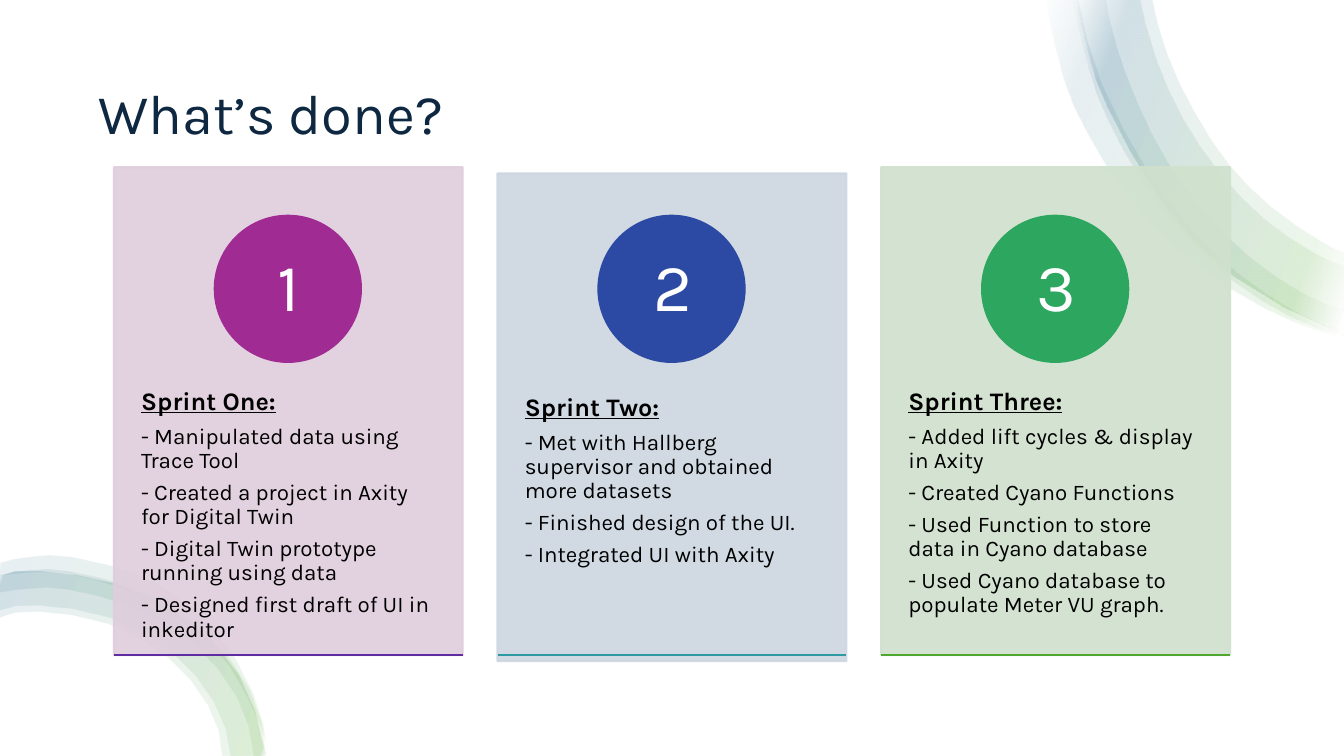
"""Build the sprint progress slide with three numbered cards."""
from lxml import etree
from pptx import Presentation
from pptx.dml.color import RGBColor
from pptx.enum.shapes import MSO_CONNECTOR, MSO_SHAPE
from pptx.enum.text import MSO_ANCHOR, PP_ALIGN
from pptx.oxml import parse_xml
from pptx.oxml.ns import nsdecls, qn
from pptx.util import Inches, Pt

RECTANGLE, OVAL = MSO_SHAPE.RECTANGLE, MSO_SHAPE.OVAL
STRAIGHT = MSO_CONNECTOR.STRAIGHT
TOP, MIDDLE = MSO_ANCHOR.TOP, MSO_ANCHOR.MIDDLE
LEFT, CENTER = PP_ALIGN.LEFT, PP_ALIGN.CENTER

THEME = {
    "font": "Karla",
    "background": "FFFFFF",
    "title": {"size": 40, "color": "0E2841"},
    "heading": {"size": 18, "color": "000000", "bold": True, "underline": True},
    "item": {"size": 16, "color": "000000"},
    "number": {"size": 48, "color": "FFFFFF"},
    "line": 1.5,
    "card_opacity": 90,
    "ribbon_opacity": 10,
    "ribbon_angle": 160,
    "ribbon_colors": ["FFFFFF", "4EA72E", "156082", "FFFFFF"],
}

RIGHT_STOPS, LEFT_STOPS = (2, 16, 85, 100), (0, 2, 98, 100)
RIGHT_EDGE = [(13.33, 3.32), (12.23, 2.74), (11.52, 2), (10.99, 1.07),
              (10.81, 0.57), (10.67, -0.09)]
LEFT_EDGE = [(2.63, 7.5), (2.36, 6.69), (1.85, 6.16), (1.17, 5.8), (0.4, 5.67), (0, 5.72)]
RIBBONS = [
    (RIGHT_STOPS,
     [(13.33, 3.35), (12.82, 3.19), (12.21, 2.87), (11.65, 2.45), (11.16, 1.92),
      (10.78, 1.31), (10.55, 0.78), (10.36, -0.09)],
     [(10.68, -0.09), (10.93, 0.84), (11.4, 1.73), (11.81, 2.27), (12.3, 2.73),
      (12.86, 3.1), (13.33, 3.28)]),
    (RIGHT_STOPS, RIGHT_EDGE,
     [(11.41, -0.09), (11.58, 0.55), (11.85, 1.12), (12.19, 1.64), (12.61, 2.06),
      (13.07, 2.38), (13.33, 2.51)]),
    (RIGHT_STOPS,
     [(13.33, 3.33), (12.79, 3.14), (12.23, 2.79), (11.73, 2.33), (11.32, 1.79),
      (10.99, 1.19), (10.81, 0.71), (10.63, -0.09)],
     [(10.96, -0.09), (11.07, 0.44), (11.29, 1.04), (11.58, 1.61), (11.95, 2.11),
      (12.39, 2.55), (12.9, 2.9), (13.33, 3.08)]),
    (RIGHT_STOPS, RIGHT_EDGE,
     [(11.29, -0.09), (11.47, 0.59), (11.74, 1.19), (12.1, 1.72), (12.53, 2.17),
      (13.01, 2.5), (13.33, 2.64)]),
    (LEFT_STOPS, LEFT_EDGE,
     [(0, 6.13), (0.4, 6.07), (1.07, 6.19), (1.66, 6.52), (2.06, 7), (2.2, 7.5)]),
    (LEFT_STOPS, LEFT_EDGE,
     [(0, 6.06), (0.4, 6.01), (1.09, 6.13), (1.7, 6.47), (2.12, 6.97), (2.28, 7.5)]),
    (LEFT_STOPS,
     [(2.63, 7.5), (2.47, 6.85), (2.03, 6.27), (1.42, 5.87), (0.69, 5.67),
      (0.31, 5.66), (0, 5.71)],
     [(0, 5.88), (0.33, 5.84), (0.67, 5.85), (1.34, 6.03), (1.92, 6.39),
      (2.34, 6.91), (2.51, 7.5)]),
    (LEFT_STOPS,
     [(2.64, 7.5), (2.5, 6.87), (2.1, 6.23), (1.48, 5.75), (0.71, 5.53),
      (0.31, 5.53), (0, 5.59)],
     [(0, 5.72), (0.32, 5.68), (0.69, 5.7), (1.22, 5.84), (1.71, 6.09),
      (2.25, 6.58), (2.58, 7.22), (2.62, 7.5)]),
]

CARDS = [
    {"heading": "Sprint One:", "top": 1.66,
     "card": "DFCDDC", "circle": "A02B93", "rule": "5F2CA1",
     "items": ["- Manipulated data using Trace Tool",
               "- Created a project in Axity for Digital Twin",
               "- Digital Twin prototype running using data",
               "- Designed first draft of UI in inkeditor"]},
    {"heading": "Sprint Two:", "top": 1.72,
     "card": "CDD6E0", "circle": "2C49A3", "rule": "2D9AA4",
     "items": ["- Met with Hallberg supervisor and obtained more datasets",
               "- Finished design of the UI.",
               "- Integrated UI with Axity"]},
    {"heading": "Sprint Three:", "top": 1.66,
     "card": "D0E1CD", "circle": "2DA65F", "rule": "4EA72E",
     "items": ["- Added lift cycles & display in Axity",
               "- Created Cyano Functions",
               "- Used Function to store data in Cyano database",
               "- Used Cyano database to populate Meter VU graph."]},
]
FIRST_LEFT, LAST_LEFT, CARD_WIDTH, CARD_HEIGHT = 1.13, 8.74, 3.46, 4.84
CARD_STEP = (LAST_LEFT - FIRST_LEFT) / (len(CARDS) - 1)
RULE_TOP = 6.5


def smooth(points):
    """Return the points with one more on the curve between each pair."""
    first, last = (
        tuple(3 * a - 3 * b + c for a, b, c in zip(*ends))
        for ends in (points[:3], points[:-4:-1]))
    padded = [first, *points, last]
    curve = [points[0]]
    for before, start, end, after in zip(padded, padded[1:], padded[2:], padded[3:]):
        middle = tuple((9 * (b + c) - a - d) / 16
                       for a, b, c, d in zip(before, start, end, after))
        curve += [middle, end]
    return curve


def add_text(box, lines, anchor=TOP, alignment=LEFT, margins=(0.1, 0.05), gap=0.35):
    """Add a text box with one styled paragraph for each line."""
    frame = slide.shapes.add_textbox(*map(Inches, box)).text_frame
    side, edge = map(Inches, margins)
    settings = {"word_wrap": True, "vertical_anchor": anchor, "margin_left": side,
                "margin_right": side, "margin_top": edge, "margin_bottom": edge}
    for name, value in settings.items():
        setattr(frame, name, value)
    for index, (text, style) in enumerate(lines):
        paragraph = frame.add_paragraph() if index else frame.paragraphs[0]
        paragraph.alignment = alignment
        paragraph.line_spacing = 0.9
        paragraph.space_after = Pt(style["size"] * gap)
        run = paragraph.add_run()
        run.text = text
        formats = {"name": THEME["font"], "size": Pt(style["size"]),
                   "bold": style.get("bold", False),
                   "underline": style.get("underline", False)}
        for name, value in formats.items():
            setattr(run.font, name, value)
        run.font.color.rgb = RGBColor.from_string(style["color"])


presentation = Presentation()
presentation.slide_width = Inches(13.33)
presentation.slide_height = Inches(7.5)
slide = presentation.slides.add_slide(presentation.slide_layouts[6])

backdrop = slide.shapes.add_shape(
    RECTANGLE, 0, 0, presentation.slide_width, presentation.slide_height)
backdrop.shadow.inherit = False
backdrop.fill.solid()
backdrop.fill.fore_color.rgb = RGBColor.from_string(THEME["background"])
backdrop.line.fill.background()

add_text((0.88, 0.5, 11.57, 1.3), [("What’s done?", THEME["title"])], MIDDLE, gap=0)

for positions, outer, inner in RIBBONS:
    outline = [(Inches(x), Inches(y)) for x, y in smooth(outer) + smooth(inner)]
    builder = slide.shapes.build_freeform(*outline[0])
    builder.add_line_segments(outline[1:], close=True)
    ribbon = builder.convert_to_shape()
    ribbon.shadow.inherit = False
    ribbon.line.fill.background()
    ribbon.fill.gradient()
    ribbon.fill.gradient_angle = THEME["ribbon_angle"]
    stops = "".join(
        f'<a:gs pos="{position * 1000}"><a:srgbClr val="{color}">'
        f'<a:alpha val="{THEME["ribbon_opacity"] * 1000}"/></a:srgbClr></a:gs>'
        for position, color in zip(positions, THEME["ribbon_colors"]))
    stop_list = ribbon.element.spPr.find(qn("a:gradFill")).find(qn("a:gsLst"))
    stop_list.getparent().replace(
        stop_list, parse_xml(f'<a:gsLst {nsdecls("a")}>{stops}</a:gsLst>'))

for index, sprint in enumerate(CARDS):
    left = FIRST_LEFT + index * CARD_STEP
    top = sprint["top"]
    panels = [(RECTANGLE, (left, top, CARD_WIDTH, CARD_HEIGHT), "card"),
              (OVAL, (left + 1, 2.14, 1.45, 1.45), "circle")]
    for kind, box, role in panels:
        shape = slide.shapes.add_shape(kind, *map(Inches, box))
        shape.shadow.inherit = False
        shape.fill.solid()
        shape.fill.fore_color.rgb = RGBColor.from_string(sprint[role])
        shape.line.color.rgb = RGBColor.from_string(sprint[role])
        shape.line.width = Pt(THEME["line"])
        if role == "card":
            for color in shape.element.spPr.iter(qn("a:srgbClr")):
                alpha = etree.SubElement(color, qn("a:alpha"))
                alpha.set("val", str(THEME["card_opacity"] * 1000))

    lines = [(sprint["heading"], THEME["heading"])]
    lines += [(item, THEME["item"]) for item in sprint["items"]]
    add_text((left, top + 1.84, CARD_WIDTH, 2.9), lines, margins=(0.27, 0.36))
    add_text((left + 1.22, 2.36, 1.03, 1.03), [(str(index + 1), THEME["number"])],
             MIDDLE, CENTER, (0.11, 0.01))

    rule = slide.shapes.add_connector(
        STRAIGHT, *map(Inches, (left, RULE_TOP, left + CARD_WIDTH, RULE_TOP)))
    rule.line.color.rgb = RGBColor.from_string(sprint["rule"])
    rule.line.width = Pt(THEME["line"])
    etree.SubElement(rule.element.spPr, qn("a:effectLst"))

presentation.save("out.pptx")
